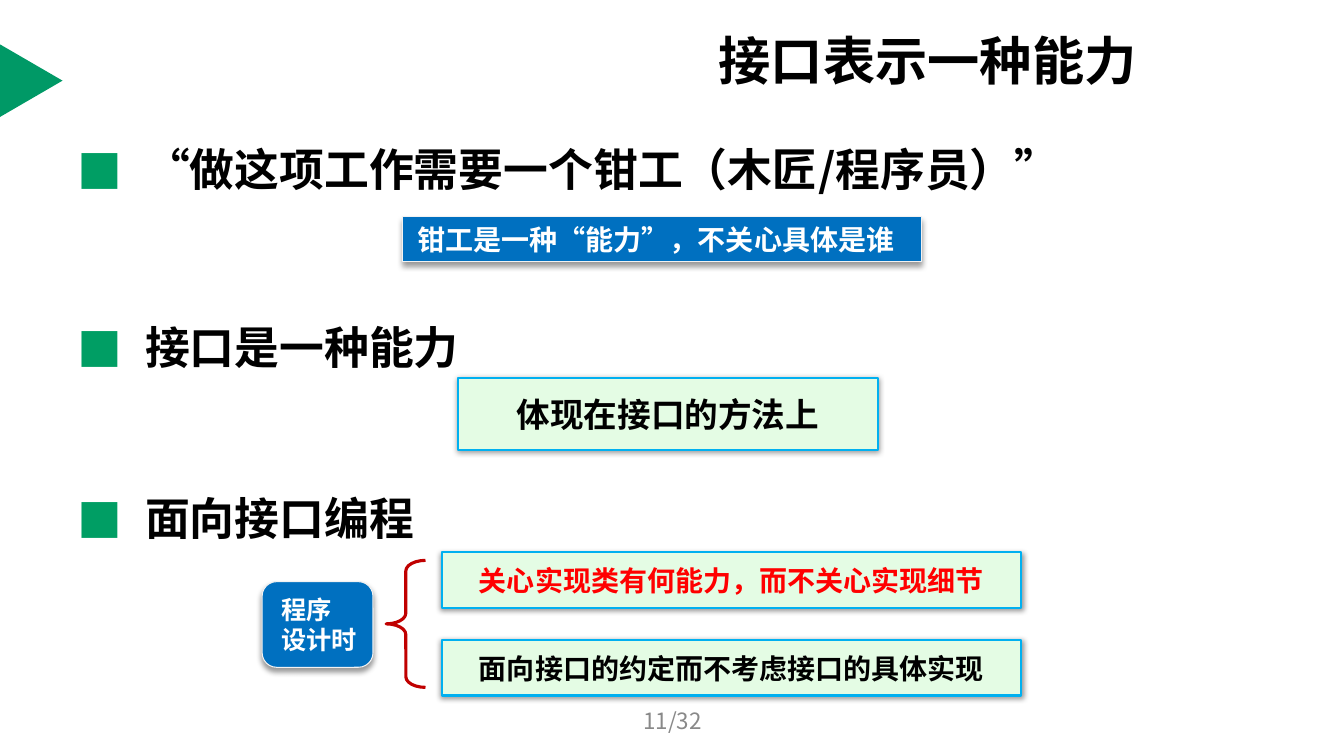
from dataclasses import dataclass

from lxml.etree import SubElement
from pptx import Presentation
from pptx.dml.color import RGBColor
from pptx.enum.shapes import MSO_SHAPE
from pptx.enum.text import MSO_ANCHOR, PP_ALIGN
from pptx.oxml.ns import qn
from pptx.util import Inches, Pt


@dataclass(frozen=True)
class Theme:
    sans: str = "Noto Sans CJK SC"
    arial: str = "Arial"
    black: str = "000000"
    white: str = "FFFFFF"
    red: str = "FF0000"
    gray: str = "898989"
    green: str = "009966"
    bullet: str = "009E64"
    mint: str = "E4FCE4"
    sky: str = "00B0F0"
    blue: str = "0070C0"
    pale: str = "F2F2F2"
    brace: str = "C00000"
    title: float = 37.3
    body: float = 32
    large: float = 24
    note: float = 20
    small: float = 18
    foot: float = 16


THEME = Theme()


def color(code):
    return RGBColor.from_string(code)


def style(para, size, code, face, bold=True):
    for run in para.runs:
        font = run.font
        font.size, font.bold, font.name = Pt(size), bold, face
        font.color.rgb = color(code)
        east = SubElement(run._r.get_or_add_rPr(), qn("a:ea"))
        east.set("typeface", THEME.sans)


def label(slide, box, text, size, code, align, bold=True):
    frame = slide.shapes.add_textbox(*map(Inches, box)).text_frame
    frame.word_wrap = True
    frame.vertical_anchor = MSO_ANCHOR.MIDDLE
    frame.text = text
    para = frame.paragraphs[0]
    para.alignment = align
    style(para, size, code, THEME.sans, bold)


def shape(slide, kind, box, fill=None, line=None, width=0):
    item = slide.shapes.add_shape(kind, *map(Inches, box))
    item.shadow.inherit = False
    if fill:
        item.fill.solid()
        item.fill.fore_color.rgb = color(fill)
    else:
        item.fill.background()
    if line:
        item.line.color.rgb = color(line)
        item.line.width = Pt(width)
    else:
        item.line.fill.background()
    return item


def shade(item, drop):
    effect = item._element.spPr.find(qn("a:effectLst"))
    shadow = SubElement(effect, qn("a:outerShdw"), blurRad=str(Pt(4)),
                        dist=str(Pt(drop)), dir="5400000", rotWithShape="0")
    tint = SubElement(shadow, qn("a:srgbClr"), val=THEME.black)
    SubElement(tint, qn("a:alpha"), val="40000")


def card(slide, box, text, size, code):
    item = shape(slide, MSO_SHAPE.ROUNDED_RECTANGLE, box, THEME.mint, THEME.sky, 1.5)
    item.adjustments[0] = 0
    shade(item, 1)
    frame = item.text_frame
    frame.vertical_anchor = MSO_ANCHOR.MIDDLE
    frame.text = text
    para = frame.paragraphs[0]
    para.alignment = PP_ALIGN.CENTER
    style(para, size, code, THEME.arial)


def badge(slide, box, text, size, round):
    item = shape(slide, MSO_SHAPE.ROUNDED_RECTANGLE, box, THEME.blue, THEME.pale, 0.75)
    item.adjustments[0] = round
    shade(item, 3)
    frame = item.text_frame
    frame.word_wrap = True
    frame.vertical_anchor = MSO_ANCHOR.MIDDLE
    frame.margin_left, frame.margin_right = Inches(0.15), Inches(0)
    frame.margin_top = frame.margin_bottom = Inches(0)
    frame.text = text
    for para in frame.paragraphs:
        para.alignment = PP_ALIGN.LEFT
        style(para, size, THEME.white, THEME.arial)


def topics(slide, box, rows):
    frame = slide.shapes.add_textbox(*map(Inches, box)).text_frame
    frame.word_wrap = True
    frame.margin_top = Inches(0)
    frame.text = "\n".join(text for text, gap in rows)
    for para, (text, gap) in zip(frame.paragraphs, rows):
        props = para._p.get_or_add_pPr()
        props.set("marL", str(Inches(0.67)))
        props.set("indent", str(-Inches(0.67)))
        tint = SubElement(props, qn("a:buClr"))
        SubElement(tint, qn("a:srgbClr"), val=THEME.bullet)
        SubElement(props, qn("a:buFont"), typeface=THEME.sans)
        SubElement(props, qn("a:buChar"), char="■")
        para.space_before = Pt(gap)
        style(para, THEME.body, THEME.black, THEME.sans)


def main():
    deck = Presentation()
    deck.slide_width, deck.slide_height = Inches(13.33), Inches(7.5)
    slide = deck.slides.add_slide(deck.slide_layouts[6])

    marker = shape(slide, MSO_SHAPE.ISOSCELES_TRIANGLE, (-0.05, 0.49, 0.72, 0.62), THEME.green)
    marker.rotation = 90
    label(slide, (7.03, 0.31, 4.44, 0.57), "接口表示一种能力",
          THEME.title, THEME.black, PP_ALIGN.LEFT)
    topics(slide, (0.67, 1.41, 12, 5.27), [
        ("“做这项工作需要一个钳工（木匠/程序员）”", 0),
        ("接口是一种能力", 88.5),
        ("面向接口编程", 84),
    ])

    badge(slide, (3.99, 2.15, 5.15, 0.44), "钳工是一种“能力”，不关心具体是谁", THEME.note, 0)
    card(slide, (4.54, 3.75, 4.17, 0.71), "体现在接口的方法上", THEME.large, THEME.black)
    rules = [
        ("关心实现类有何能力，而不关心实现细节", THEME.red),
        ("面向接口的约定而不考虑接口的具体实现", THEME.black),
    ]
    for row, (text, code) in enumerate(rules):
        card(slide, (4.38, 5.48 + 0.87 * row, 5.75, 0.55), text, THEME.note, code)
    badge(slide, (2.6, 5.77, 1.1, 0.85), "程序\n设计时", THEME.small, 0.17)
    brace = shape(slide, MSO_SHAPE.LEFT_BRACE, (3.83, 5.56, 0.39, 1.26),
                  line=THEME.brace, width=2.25)
    brace.adjustments[0] = 0.27

    label(slide, (4.56, 6.95, 4.22, 0.4), "11/32",
          THEME.foot, THEME.gray, PP_ALIGN.CENTER, False)
    deck.save("out.pptx")


if __name__ == "__main__":
    main()
